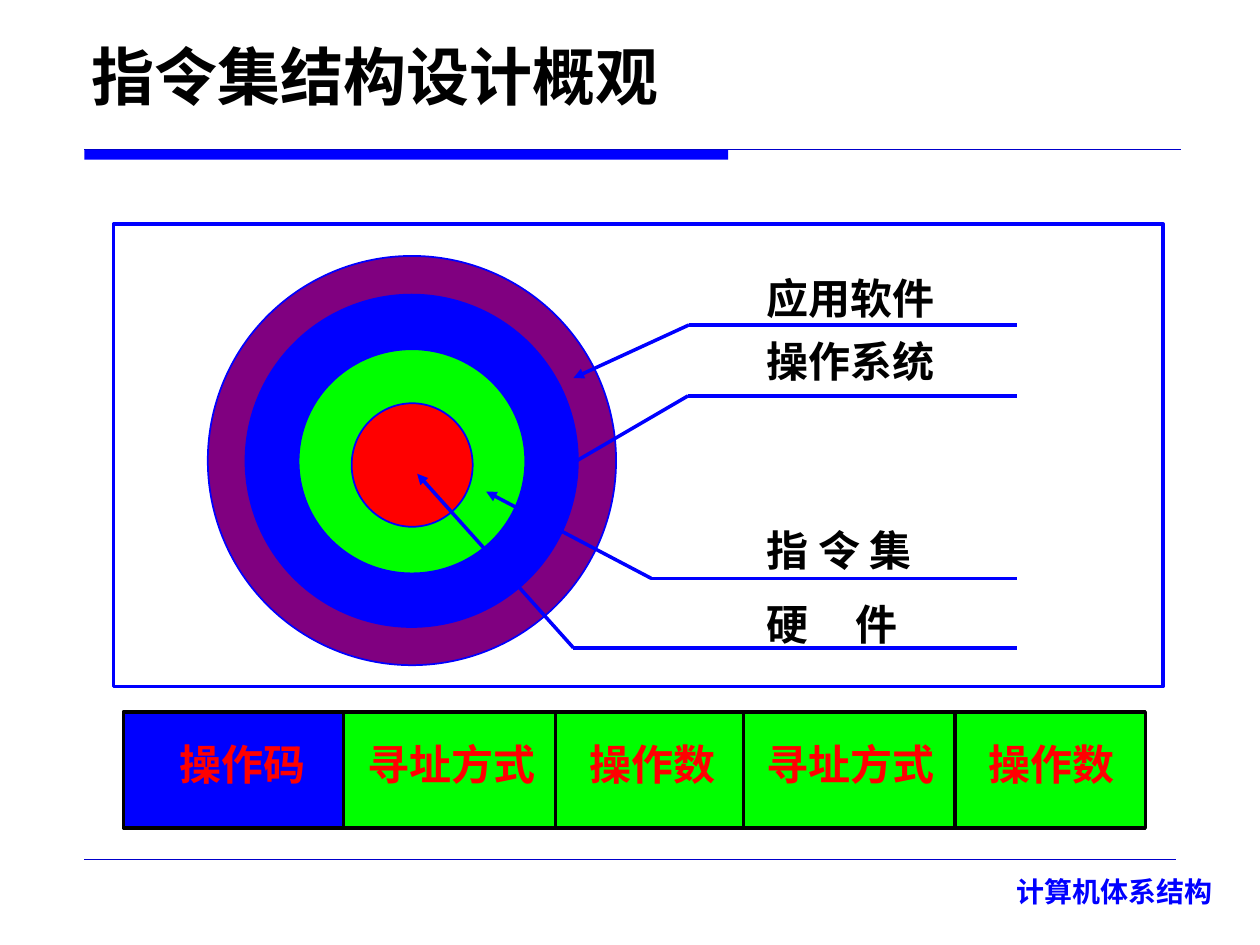
"""Build the slide that gives an overview of instruction set architecture design."""
from itertools import pairwise

from lxml import etree
from pptx import Presentation
from pptx import util as u
from pptx.dml.color import RGBColor
from pptx.enum import shapes, text
from pptx.oxml import ns

BLUE = RGBColor(0x00, 0x00, 0xFF)
NAVY = RGBColor(0x00, 0x00, 0xCC)
GREEN = RGBColor(0x00, 0xFF, 0x00)
RED = RGBColor(0xFF, 0x00, 0x00)
PURPLE = RGBColor(0x80, 0x00, 0x80)
BLACK = RGBColor(0x00, 0x00, 0x00)
CJK_FONT = "Noto Sans CJK SC"

TITLE = "指令集结构设计概观"
COURSE = "计算机体系结构"

RINGS = [
    ((4.19, 5.16, 8.23, 8.25), PURPLE),
    ((4.95, 5.94, 6.7, 6.7), BLUE),
    ((6.02, 7.04, 4.57, 4.52), GREEN),
    ((7.09, 8.13, 2.44, 2.49), RED),
]
LAYERS = [
    ("应用软件", 5.36, (13.89, 6.55), (11.56, 7.62)),
    ("操作系统", 6.63, (13.87, 7.98), (10.87, 9.73)),
    ("指 令 集", 10.44, (13.13, 11.66), (9.8, 9.91)),
    ("硬\t件", 11.94, (11.56, 13.06), (8.41, 9.55)),
]
LABEL_LEFT, LABEL_WIDTH, LABEL_HEIGHT = 15.21, 5.29, 1.27
LABEL_TAB = 1.78
LEADER_END = 20.5

FIELDS = [
    ("操作码", BLUE, 1.12),
    ("寻址方式", GREEN, 0.47),
    ("操作数", GREEN, 0.68),
    ("寻址方式", GREEN, 0.47),
    ("操作数", GREEN, 0.68),
]
FIELD_EDGES = [2.49, 6.93, 11.2, 14.99, 19.25, 23.09]
FIELD_TOP, FIELD_HEIGHT = 14.35, 2.34


def cm(values):
    return [u.Cm(value) for value in values]


def write(frame, words, size, color, font=CJK_FONT, align=text.PP_ALIGN.LEFT):
    paragraph = frame.paragraphs[0]
    paragraph.alignment = align
    if "\t" in words:
        stops = etree.SubElement(paragraph._p.get_or_add_pPr(), ns.qn("a:tabLst"))
        etree.SubElement(stops, ns.qn("a:tab"), pos=str(u.Cm(LABEL_TAB)), algn="l")
    run = paragraph.add_run()
    run.text = words
    run.font.size = u.Pt(size)
    run.font.bold = True
    run.font.color.rgb = color
    run.font.name = font
    etree.SubElement(run.font._element, ns.qn("a:ea"), typeface=CJK_FONT)


def add_label(slide, box, words, size, color, align=text.PP_ALIGN.LEFT):
    frame = slide.shapes.add_textbox(*cm(box)).text_frame
    frame.word_wrap = True
    write(frame, words, size, color, align=align)


def add_block(slide, kind, box, fill=None, line=None, width=1):
    block = slide.shapes.add_shape(kind, *cm(box))
    block.shadow.inherit = False
    if fill is None:
        block.fill.background()
    else:
        block.fill.solid()
        block.fill.fore_color.rgb = fill
    if line is None:
        block.line.fill.background()
    else:
        block.line.color.rgb = line
        block.line.width = u.Pt(width)
    return block


def add_line(slide, start, end, color=BLUE, width=2, arrow=False):
    line = slide.shapes.add_connector(
        shapes.MSO_CONNECTOR.STRAIGHT, *cm(start), *cm(end))
    line.line.color.rgb = color
    line.line.width = u.Pt(width)
    if arrow:
        etree.SubElement(line.line._get_or_add_ln(), ns.qn("a:tailEnd"), type="triangle")
    etree.SubElement(line._element.spPr, ns.qn("a:effectLst"))


def add_heading(slide):
    rect = shapes.MSO_SHAPE.RECTANGLE
    add_block(slide, rect, (1.7, 3.02, 12.98, 0.2), BLUE)
    add_line(slide, (1.7, 3.02), (23.8, 3.02), NAVY, 0.5)
    add_line(slide, (1.7, 17.32), (23.7, 17.32), NAVY, 0.25)
    add_label(slide, (18.47, 17.5, 6.22, 1.09), COURSE, 16, BLUE, text.PP_ALIGN.RIGHT)
    title = slide.shapes.title
    title.left, title.top, title.width, title.height = cm((1.6, 0.53, 16.51, 1.88))
    title.text_frame.vertical_anchor = text.MSO_ANCHOR.BOTTOM
    title.text_frame.auto_size = text.MSO_AUTO_SIZE.NONE
    write(title.text_frame, TITLE, 36, BLACK, "DejaVu Sans")


def add_layers(slide):
    add_block(slide, shapes.MSO_SHAPE.RECTANGLE, (2.29, 4.52, 21.16, 9.32), None, BLUE, 2)
    for box, fill in RINGS:
        add_block(slide, shapes.MSO_SHAPE.OVAL, box, fill, BLUE)
    for words, top, elbow, tip in LAYERS:
        add_line(slide, elbow, tip, arrow=True)
        add_line(slide, elbow, (LEADER_END, elbow[1]))
        add_label(slide, (LABEL_LEFT, top, LABEL_WIDTH, LABEL_HEIGHT), words, 24, BLACK)


def add_instruction(slide):
    for (words, fill, indent), (left, right) in zip(FIELDS, pairwise(FIELD_EDGES)):
        box = (left, FIELD_TOP, right - left, FIELD_HEIGHT)
        field = add_block(slide, shapes.MSO_SHAPE.RECTANGLE, box, fill, BLACK, 2)
        frame = field.text_frame
        frame.margin_left, frame.margin_right = cm((indent, 0))
        frame.margin_top, frame.margin_bottom = cm((0, 0.26))
        frame.vertical_anchor = text.MSO_ANCHOR.MIDDLE
        write(frame, words, 24, RED, "Times New Roman")


def main():
    deck = Presentation()
    deck.slide_width, deck.slide_height = cm((25.4, 19.05))
    slide = deck.slides.add_slide(deck.slide_layouts[5])
    add_heading(slide)
    add_layers(slide)
    add_instruction(slide)
    deck.save("out.pptx")


if __name__ == "__main__":
    main()
